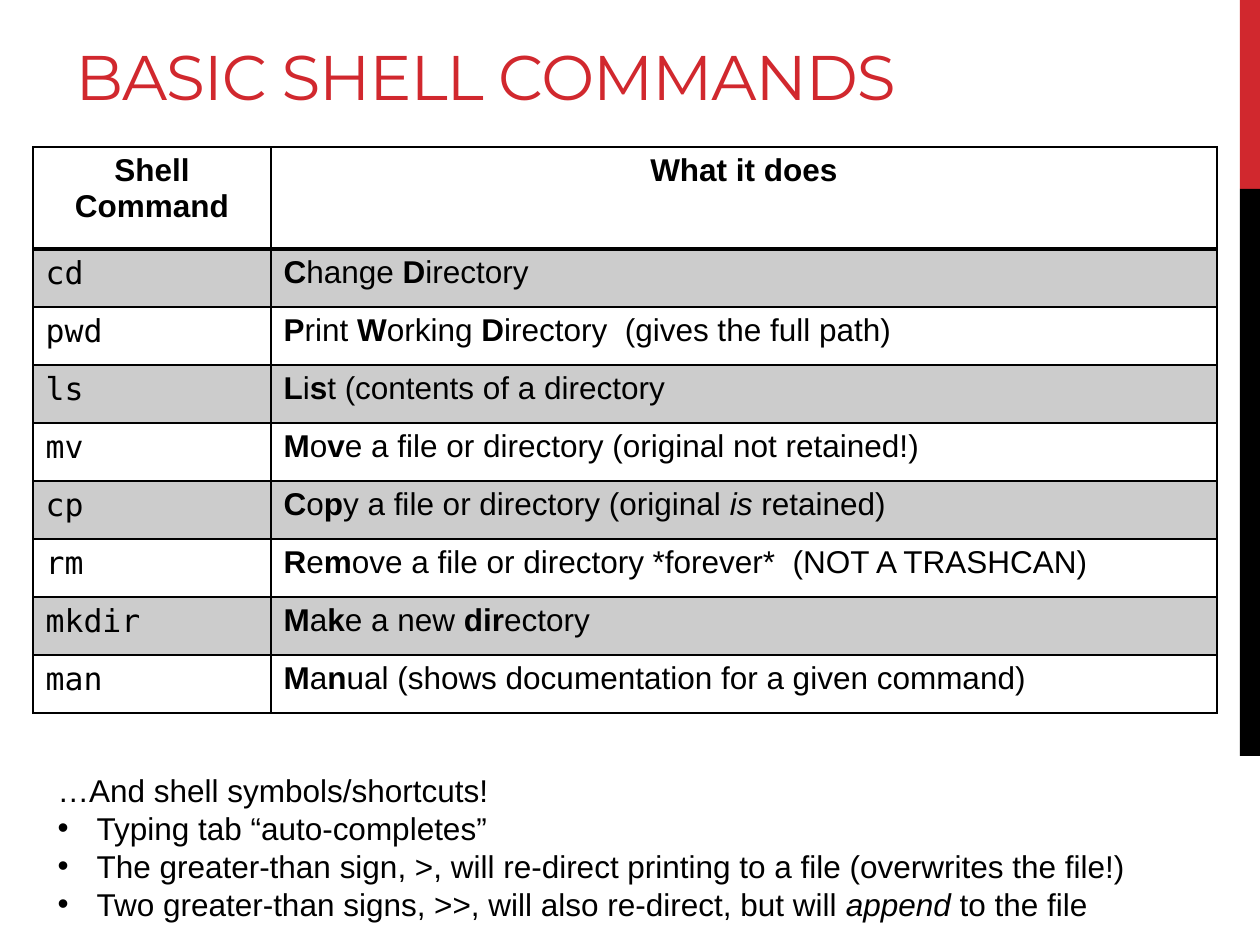
"""Build a slide with a table of basic shell commands and a list of shortcuts."""
from lxml.etree import SubElement
from pptx import Presentation
from pptx.dml.color import RGBColor
from pptx.enum.shapes import MSO_SHAPE as SHAPE
from pptx.enum.text import MSO_ANCHOR as ANCHOR, MSO_AUTO_SIZE as AUTO, PP_ALIGN as ALIGN
from pptx.oxml.ns import qn
from pptx.util import Pt

PX = 914400 // 126
COLORS = {"red": "D1282E", "black": "000000"}
SANS, MONO, DISPLAY = "Arial", "DejaVu Sans Mono", "Montserrat"
BOLD, ITALIC = "|", "~"

TITLE = "BASIC SHELL COMMANDS"
HEADER = ("Shell Command", "What it does")
COMMANDS = [
    ("cd", "|C|hange |D|irectory"),
    ("pwd", "|P|rint |W|orking |D|irectory  (gives the full path)"),
    ("ls", "|L|i|s|t (contents of a directory"),
    ("mv", "|M|o|v|e a file or directory (original not retained!)"),
    ("cp", "|C|o|p|y a file or directory (original ~is~ retained)"),
    ("rm", "|R|e|m|ove a file or directory *forever*  (NOT A TRASHCAN)"),
    ("mkdir", "|M|a|k|e a new |dir|ectory"),
    ("man", "|M|a|n|ual (shows documentation for a given command)"),
]
SHORTCUTS = [
    "…And shell symbols/shortcuts!",
    "Typing tab “auto-completes”",
    "The greater-than sign, >, will re-direct printing to a file (overwrites the file!)",
    "Two greater-than signs, >>, will also re-direct, but will ~append~ to the file",
]
SIDEBAR = [("red", 0, 189), ("black", 189, 756)]
SIDEBAR_LEFT, SIDEBAR_WIDTH = 1240, 20
TITLE_BOX = (63, 20, 953, 95)
LIST_BOX = (45, 765, 1133, 165)
TABLE_LEFT, TABLE_TOP = 33, 147
COLUMN_WIDTHS = (238, 946)
HEADER_HEIGHT, ROW_HEIGHT = 102, 58
BULLET_INDENT = 39


def color(name):
    return RGBColor.from_string(COLORS[name])


def place(shape, box):
    shape.left, shape.top, shape.width, shape.height = (PX * value for value in box)


def style(font, name, size, color_name):
    font.name, font.size = name, Pt(size)
    font.color.rgb = color(color_name)


def write(paragraph, text, font_name=SANS):
    for bold_index, part in enumerate(text.split(BOLD)):
        for italic_index, piece in enumerate(part.split(ITALIC)):
            if piece:
                run = paragraph.add_run()
                run.text = piece
                style(run.font, font_name, 18, "black")
                run.font.bold = bold_index % 2 == 1
                run.font.italic = italic_index % 2 == 1


def add_border(cell, side, points):
    line = SubElement(cell._tc.get_or_add_tcPr(), qn(f"a:ln{side}"), w=str(Pt(points)))
    fill = SubElement(line, qn("a:solidFill"))
    SubElement(fill, qn("a:srgbClr"), val=COLORS["black"])


def shade(cell, shaded):
    if not shaded:
        cell.fill.background()
        return
    cell.fill.solid()
    cell.fill.fore_color.rgb = color("black")
    tint = cell._tc.tcPr.find(f"{qn('a:solidFill')}/{qn('a:srgbClr')}")
    SubElement(tint, qn("a:alpha"), val="20000")


def add_sidebar(slide):
    for name, top, bottom in SIDEBAR:
        shape = slide.shapes.add_shape(SHAPE.RECTANGLE, 0, 0, 0, 0)
        place(shape, (SIDEBAR_LEFT, top, SIDEBAR_WIDTH, bottom - top))
        shape.shadow.inherit = False
        shape.fill.solid()
        shape.fill.fore_color.rgb = color(name)
        shape.line.fill.background()


def add_command_table(slide):
    rows = [HEADER] + COMMANDS
    heights = [HEADER_HEIGHT] + [ROW_HEIGHT] * len(COMMANDS)
    box = (TABLE_LEFT, TABLE_TOP, sum(COLUMN_WIDTHS), sum(heights))
    table = slide.shapes.add_table(len(rows), 2, *(PX * value for value in box)).table
    for column, width in zip(table.columns, COLUMN_WIDTHS):
        column.width = PX * width
    for row_index, row in enumerate(rows):
        table.rows[row_index].height = PX * heights[row_index]
        is_header = row_index == 0
        for column_index, text in enumerate(row):
            cell = table.cell(row_index, column_index)
            paragraph = cell.text_frame.paragraphs[0]
            if is_header:
                paragraph.alignment = ALIGN.CENTER
                write(paragraph, BOLD + text)
            else:
                write(paragraph, text, SANS if column_index else MONO)
            for side in "LRTB":
                heavy = (row_index, side) in ((0, "B"), (1, "T"))
                add_border(cell, side, 2 if heavy else 1)
            shade(cell, row_index % 2 == 1)


def fill_title(title):
    place(title, TITLE_BOX)
    frame = title.text_frame
    frame.text = TITLE
    frame.auto_size, frame.vertical_anchor = AUTO.NONE, ANCHOR.BOTTOM
    frame.margin_bottom = 2 * PX
    paragraph = frame.paragraphs[0]
    paragraph.alignment = ALIGN.LEFT
    run = paragraph.runs[0]
    style(run.font, DISPLAY, 36, "red")
    run.font._element.set("spc", "-60")


def fill_shortcuts(body):
    place(body, LIST_BOX)
    frame = body.text_frame
    frame.auto_size, frame.word_wrap = AUTO.NONE, True
    for index, text in enumerate(SHORTCUTS):
        paragraph = frame.add_paragraph() if index else frame.paragraphs[0]
        paragraph.space_before = Pt(0)
        paragraph.line_spacing = Pt(21.6)
        write(paragraph, text)
        properties = paragraph._p.get_or_add_pPr()
        indent = BULLET_INDENT * PX if index else 0
        properties.set("marL", str(indent))
        properties.set("indent", str(-indent))
        if index:
            SubElement(properties, qn("a:buFont"), typeface=SANS)
            SubElement(properties, qn("a:buChar"), char="•")
        else:
            SubElement(properties, qn("a:buNone"))


def main():
    presentation = Presentation()
    presentation.slide_width, presentation.slide_height = 1260 * PX, 945 * PX
    slide = presentation.slides.add_slide(presentation.slide_layouts[1])
    add_sidebar(slide)
    add_command_table(slide)
    fill_shortcuts(slide.placeholders[1])
    fill_title(slide.shapes.title)
    presentation.save("out.pptx")


if __name__ == "__main__":
    main()
